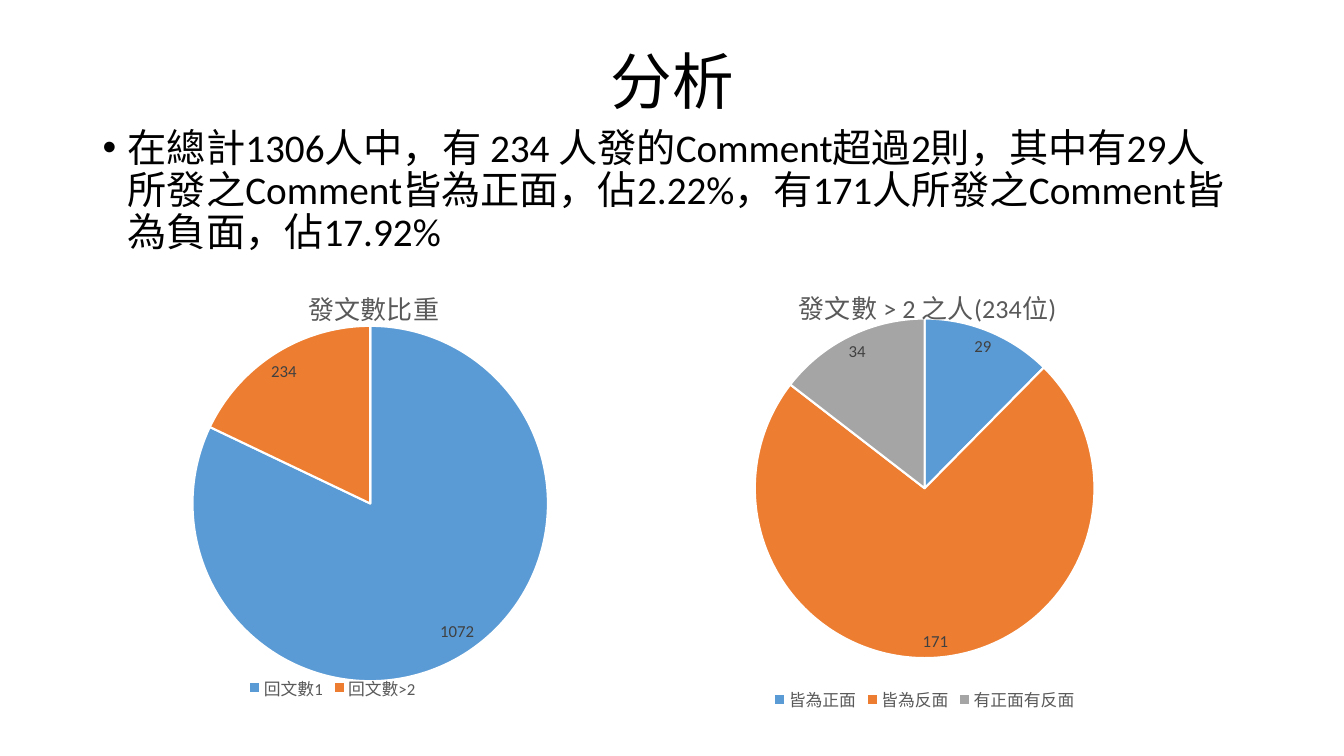
import pptx
import pptx.util
import pptx.chart.data
import pptx.enum.chart
import pptx.enum.text
import pptx.dml.color
import pptx.oxml.ns
import pptx.oxml.xmlchemy
from lxml import etree

Pt = pptx.util.Pt
RGB = pptx.dml.color.RGBColor
qn = pptx.oxml.ns.qn
BLACK = RGB(0x00, 0x00, 0x00)
WHITE = RGB(0xFF, 0xFF, 0xFF)
GREY = RGB(0x59, 0x59, 0x59)
DARK = RGB(0x40, 0x40, 0x40)
BLUE = RGB(0x5B, 0x9B, 0xD5)
ORANGE = RGB(0xED, 0x7D, 0x31)
SILVER = RGB(0xA5, 0xA5, 0xA5)
FONT = "Calibri"


def style(font, size, color):
    font.name = FONT
    font.size = Pt(size)
    font.bold = False
    font.color.rgb = color


def arrange(part, index, **shares):
    """Place a chart part by hand, in shares of the chart's size."""
    for old in part.findall(qn("c:layout")):
        part.remove(old)
    layout = pptx.oxml.xmlchemy.OxmlElement("c:layout")
    manual = etree.SubElement(layout, qn("c:manualLayout"))
    if "w" in shares:
        etree.SubElement(manual, qn("c:layoutTarget")).set("val", "inner")
    for key in "xy":
        etree.SubElement(manual, qn(f"c:{key}Mode")).set("val", "edge")
    for key, share in shares.items():
        etree.SubElement(manual, qn(f"c:{key}")).set("val", str(share))
    part.insert(index, layout)


deck = pptx.Presentation()
deck.slide_width = pptx.util.Inches(13.33)
deck.slide_height = pptx.util.Inches(7.5)
wide, high = deck.slide_width, deck.slide_height
slide = deck.slides.add_slide(deck.slide_layouts[5])

# Title
left, width = int(wide * 0.069), int(wide * 0.863)
title = slide.shapes.title
title.left, title.top = left, int(high * 0.015)
title.width, title.height = width, int(high * 0.193)
frame = title.text_frame
frame.text = "分析"
frame.vertical_anchor = pptx.enum.text.MSO_ANCHOR.MIDDLE
head = frame.paragraphs[0]
head.alignment = pptx.enum.text.PP_ALIGN.CENTER
head.line_spacing = 0.9
style(head.runs[0].font, 44, BLACK)

# Bullet text
body = slide.shapes.add_textbox(left, int(high * 0.163), width, int(high * 0.2))
body.text_frame.word_wrap = True
para = body.text_frame.paragraphs[0]
para.text = ("在總計1306人中，有 234 人發的Comment超過2則，其中有29人所發之Comment皆為正面，"
             "佔2.22%，有171人所發之Comment皆為負面，佔17.92%")
para.line_spacing = 0.9
para.space_before = Pt(10)
style(para.runs[0].font, 28, BLACK)
props = para._p.get_or_add_pPr()
indent = pptx.util.Inches(0.25)
props.set("marL", str(int(indent)))
props.set("indent", str(-indent))
etree.SubElement(props, qn("a:buFont")).set("typeface", "Arial")
etree.SubElement(props, qn("a:buChar")).set("char", "•")

# Pies: name, values, box in shares of the slide, then title, plot and legend places
pies = [
    ("發文數比重", {"回文數1": 1072, "回文數>2": 234},
     (0, 0.32, 0.551, 0.653),
     dict(x=0.41, y=0.08), dict(x=0.26, y=0.17, w=0.48, h=0.72), dict(x=0.33, y=0.87)),
    ("發文數 > 2 之人(234位)", {"皆為正面": 29, "皆為反面": 171, "有正面有反面": 34},
     (0.445, 0.32, 0.486, 0.627),
     dict(x=0.3, y=0.08), dict(x=0.24, y=0.16, w=0.52, h=0.72), None),
]
for name, counts, box, top, plot, key in pies:
    data = pptx.chart.data.CategoryChartData()
    data.categories = list(counts)
    data.add_series(name, list(counts.values()))
    x, y, w, h = box
    chart = slide.shapes.add_chart(
        pptx.enum.chart.XL_CHART_TYPE.PIE, int(wide * x), int(high * y),
        int(wide * w), int(high * h), data).chart
    style(chart.font, 10, BLACK)

    chart.has_title = True
    text = chart.chart_title.text_frame
    text.text = name
    style(text.paragraphs[0].runs[0].font, 18.6, GREY)
    arrange(chart.chart_title._element, 1, **top)

    chart.has_legend = True
    legend = chart.legend
    legend.position = pptx.enum.chart.XL_LEGEND_POSITION.BOTTOM
    legend.include_in_layout = False
    style(legend.font, 12, GREY)
    if key:
        arrange(legend._element, 1, **key)

    arrange(chart._chartSpace.chart.plotArea, 0, **plot)
    pie = chart.plots[0]
    pie.vary_by_categories = True
    series = pie.series[0]
    for i, color in zip(range(len(counts)), (BLUE, ORANGE, SILVER)):
        look = series.points[i].format
        look.fill.solid()
        look.fill.fore_color.rgb = color
        look.line.color.rgb = WHITE
        look.line.width = Pt(1.5)
    labels = series.data_labels
    labels.show_value = True
    labels.show_percentage = False
    labels.position = pptx.enum.chart.XL_LABEL_POSITION.BEST_FIT
    style(labels.font, 12, DARK)

deck.save("out.pptx")
